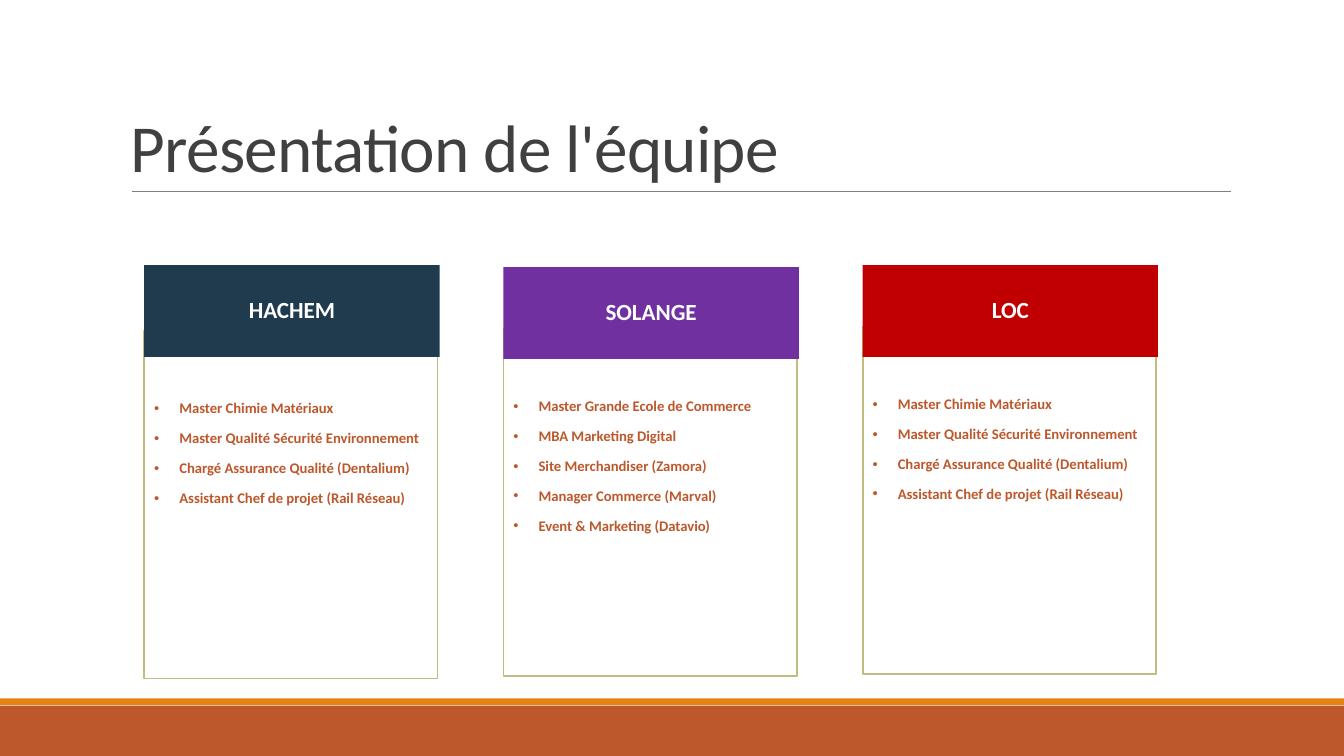
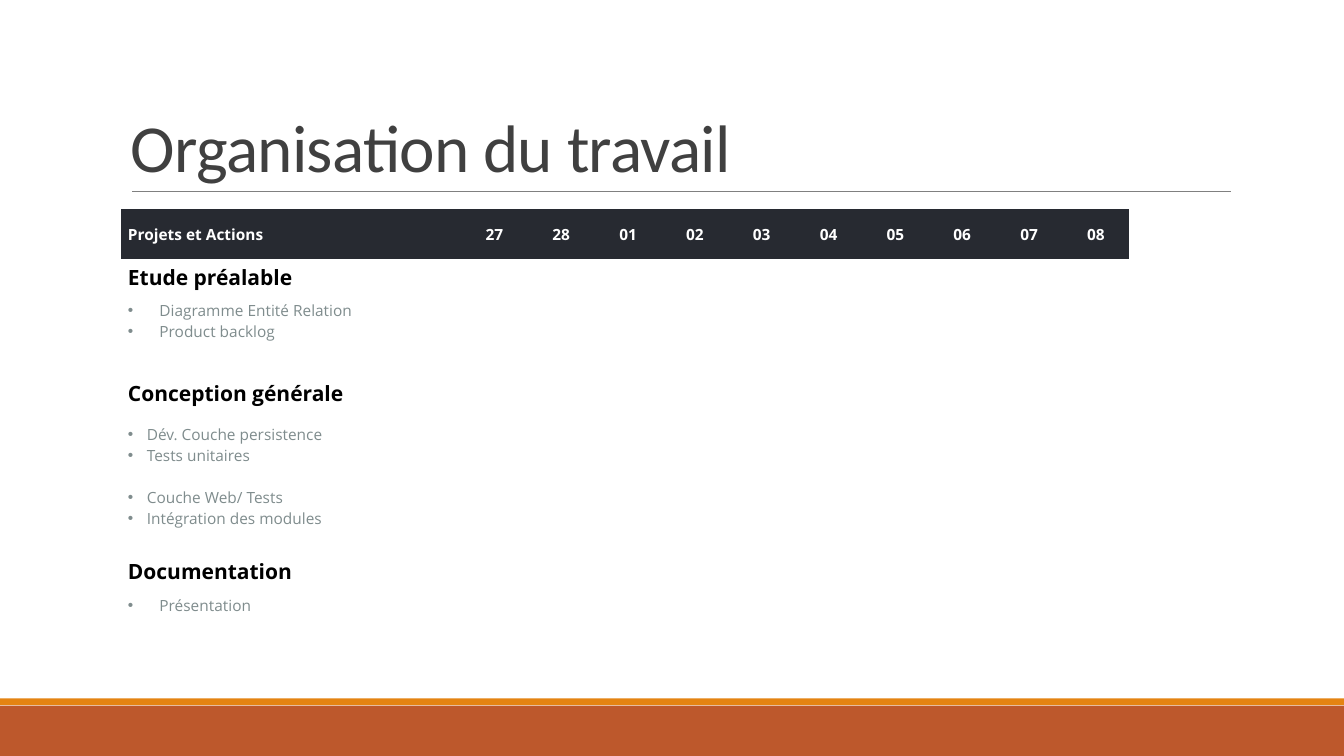
from lxml.etree import SubElement
from pptx import Presentation
from pptx.dml.color import RGBColor
from pptx.enum.shapes import MSO_CONNECTOR as Connector, MSO_SHAPE as Shape
from pptx.enum.text import MSO_ANCHOR as Anchor, PP_ALIGN as Align
from pptx.oxml.ns import qn
from pptx.util import Pt

COLORS = {
    "band": "BD582C", "stripe": "E48312", "rule": "808080", "title": "404040",
    "white": "FFFFFF", "black": "000000", "panel_line": "C2BC80", "grey": "7F8C8D",
    "navy": "203A4E", "purple": "7030A0", "red": "C00000", "header": "272A31",
}
NO_TABLE_STYLE = "{2D5ABB26-0587-4C30-8999-92F81FD0307C}"

QUALITY_PATH = [
    "Master Chimie Matériaux",
    "Master Qualité Sécurité Environnement",
    "Chargé Assurance Qualité (Dentalium)",
    "Assistant Chef de projet (Rail Réseau)",
]
COMMERCE_PATH = [
    "Master Grande Ecole de Commerce",
    "MBA Marketing Digital",
    "Site Merchandiser (Zamora)",
    "Manager Commerce (Marval)",
    "Event & Marketing (Datavio)",
]
TEAM = [
    ("HACHEM", "navy", 189.4, 236.2, QUALITY_PATH),
    ("SOLANGE", "purple", 190.8, 234.7, COMMERCE_PATH),
    ("LOC", "red", 189.4, 233.3, QUALITY_PATH),
]
DAYS = ["27", "28", "01", "02", "03", "04", "05", "06", "07", "08"]
HEADING = dict(size=15, color="black", bold=True, anchor=Anchor.BOTTOM)
TASK = dict(size=11, color="grey")
PLAN = [
    (26, ["Etude préalable"], HEADING),
    (43, ["Diagramme Entité Relation", "Product backlog"],
     dict(TASK, bullet=22.5, anchor=Anchor.TOP)),
    (39.6, ["Conception générale"], HEADING),
    (93, ["Dév. Couche persistence", "Tests unitaires", "Couche Web/ Tests",
          "Intégration des modules"], dict(TASK, bullet=13.5, gaps={2: 15})),
    (34.5, ["Documentation"], HEADING),
    (22.3, ["Présentation"], dict(TASK, bullet=22.5)),
    (26, [], {}),
    (26, [], {}),
]


def rgb(name):
    return RGBColor.from_string(COLORS[name])


def write(frame, lines, size=11, color="black", font="Open Sans", bold=False,
          align=Align.LEFT, spacing=None, before=0, gaps=None, bullet=0, tracking=None):
    for index, line in enumerate(lines):
        paragraph = frame.paragraphs[0] if index == 0 else frame.add_paragraph()
        paragraph.alignment = align
        paragraph.space_before = Pt((gaps or {}).get(index, before))
        if spacing:
            paragraph.line_spacing = spacing
        if bullet:
            properties = paragraph._p.get_or_add_pPr()
            properties.set("marL", str(Pt(bullet)))
            properties.set("indent", str(-Pt(bullet)))
            SubElement(properties, qn("a:buFont"), typeface="Arial")
            SubElement(properties, qn("a:buChar"), char="•")
        run = paragraph.add_run()
        run.text = line
        run.font.name = font
        run.font.size = Pt(size)
        run.font.bold = bold
        run.font.color.rgb = rgb(color)
        if tracking is not None:
            run._r.get_or_add_rPr().set("spc", str(tracking))


class Deck:
    def __init__(self):
        self.show = Presentation()
        self.show.slide_width = Pt(960)
        self.show.slide_height = Pt(540)
        self.slide = None

    def new_slide(self, title):
        self.slide = self.show.slides.add_slide(self.show.slide_layouts[6])
        self.box(0, 504, 960, 36, "band")
        self.box(0, 498.8, 960, 5, "stripe")
        self.rule(94.5, 137, 879)
        heading = self.slide.shapes.add_textbox(Pt(86.4), Pt(22.5), Pt(792), Pt(114.3))
        frame = heading.text_frame
        frame.word_wrap = True
        frame.vertical_anchor = Anchor.BOTTOM
        write(frame, [title], size=48, color="title", font="Calibri",
              spacing=0.85, tracking=-50)

    def box(self, left, top, width, height, fill, line=None):
        box = self.slide.shapes.add_shape(
            Shape.RECTANGLE, Pt(left), Pt(top), Pt(width), Pt(height))
        box.shadow.inherit = False
        box.fill.solid()
        box.fill.fore_color.rgb = rgb(fill)
        if line:
            box.line.color.rgb = rgb(line)
            box.line.width = Pt(1.25)
        else:
            box.line.fill.background()
        box.text_frame.word_wrap = True
        return box

    def rule(self, left, top, right):
        rule = self.slide.shapes.add_connector(
            Connector.STRAIGHT, Pt(left), Pt(top), Pt(right), Pt(top))
        rule.line.color.rgb = rgb("rule")
        rule.line.width = Pt(0.5)
        SubElement(rule._element.spPr, qn("a:effectLst"))

    def panel(self, left, top, lines):
        frame = self.box(left, top, 209.5, 248.4, "white", "panel_line").text_frame
        frame.vertical_anchor = Anchor.TOP
        frame.margin_top = Pt(50.4)
        write(frame, lines, size=10.5, color="band", font="Calibri", bold=True,
              spacing=0.9, before=10, bullet=18)

    def name_plate(self, left, top, name, fill):
        frame = self.box(left, top, 211, 65.5, fill).text_frame
        frame.vertical_anchor = Anchor.MIDDLE
        write(frame, [name], size=16.5, color="white", font="Calibri", bold=True,
              align=Align.CENTER, spacing=0.9, before=10)

    def table(self, left, top, widths, heights):
        table = self.slide.shapes.add_table(
            len(heights), len(widths), Pt(left), Pt(top),
            Pt(sum(widths)), Pt(sum(heights))).table
        table.first_row = table.horz_banding = False
        table._tbl.tblPr.find(qn("a:tableStyleId")).text = NO_TABLE_STYLE
        for column, width in zip(table.columns, widths):
            column.width = Pt(width)
        for row, height in zip(table.rows, heights):
            row.height = Pt(height)
        return table

    def cell(self, cell, lines=(), fill=None, anchor=Anchor.MIDDLE, inset=5, **style):
        cell.vertical_anchor = anchor
        cell.margin_left = Pt(inset)
        cell.margin_right = Pt(0)
        cell.margin_top = cell.margin_bottom = Pt(2.8)
        if fill:
            cell.fill.solid()
            cell.fill.fore_color.rgb = rgb(fill)
        else:
            cell.fill.background()
        if lines:
            write(cell.text_frame, lines, **style)
        else:
            SubElement(cell.text_frame.paragraphs[0]._p, qn("a:endParaRPr"), sz="1000")

    def save(self):
        self.show.save("out.pptx")


def team_slide(deck):
    deck.new_slide("Présentation de l'équipe")
    for index, (name, color, plate_top, panel_top, background) in enumerate(TEAM):
        left = 103 + index * 256.6
        deck.panel(left, panel_top, background)
        deck.name_plate(left, plate_top, name, color)


def planning_slide(deck):
    deck.new_slide("Organisation du travail")
    widths = [182.4, 12.8] + [47.75] * 11
    plan = deck.table(86.4, 149.2, widths, [36] + [height for height, _, _ in PLAN])
    header = dict(fill="header", color="white", bold=True)
    labels = ["Projets et Actions", "", ""] + DAYS
    for column, label in enumerate(labels):
        is_day = column > 2
        deck.cell(plan.cell(0, column), [label] if label else [],
                  inset=0 if is_day else 5,
                  align=Align.CENTER if is_day else Align.LEFT, **header)
    plan.cell(0, 0).merge(plan.cell(0, 2))
    for row, (_, lines, style) in enumerate(PLAN, start=1):
        deck.cell(plan.cell(row, 0), lines, **style)
        for column in range(1, len(widths)):
            deck.cell(plan.cell(row, column))


def main():
    deck = Deck()
    team_slide(deck)
    planning_slide(deck)
    deck.save()


if __name__ == "__main__":
    main()
